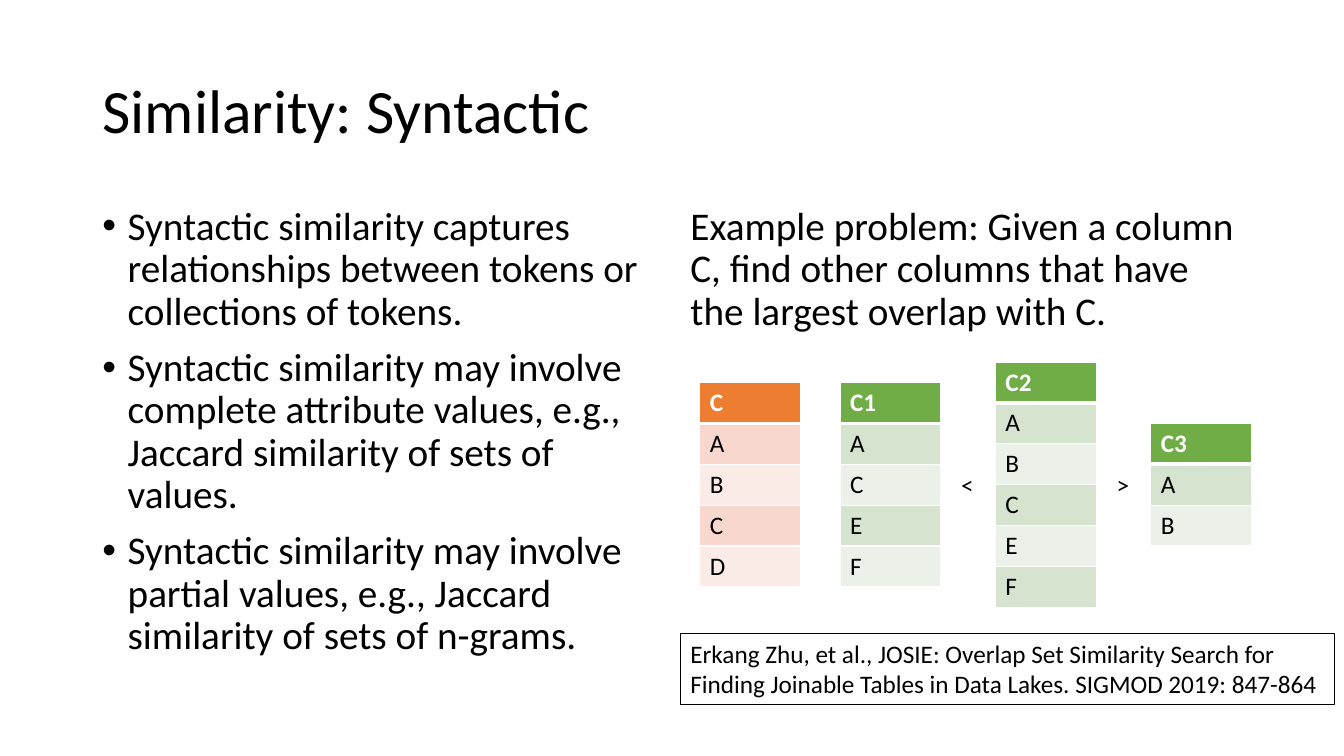
"""Build the slide on syntactic similarity."""
from dataclasses import dataclass

from lxml import etree
from pptx import Presentation
from pptx import util as u
from pptx.dml.color import RGBColor
from pptx.enum import text
from pptx.oxml.ns import qn

WIDTH, HEIGHT = u.Inches(13.33), u.Inches(7.5)
COLUMNS, ROWS = 160, 90
TABLE_WIDTH, TABLE_STEP, TABLE_MIDDLE = 12, 18.5, 57.7
SIGN_WIDTH, SIGN_HEIGHT = 4, 4.8


@dataclass(frozen=True)
class Theme:
    """Colours and type sizes of the slide."""
    font: str = "Calibri"
    title: float = 44
    body: float = 28
    small: float = 18
    row: float = 29.2
    ink: str = "000000"
    paper: str = "FFFFFF"
    query: tuple = ("ED7D31", "F8D7CE", "FCECE8")
    candidate: tuple = ("70AD47", "D5E3CF", "EBF1E9")


THEME = Theme()


def across(columns):
    """Turn grid columns into a length."""
    return u.Emu(round(WIDTH * columns / COLUMNS))


def down(rows):
    """Turn grid rows into a length."""
    return u.Emu(round(HEIGHT * rows / ROWS))


def area(left, top, width, height):
    """Turn a grid area into left, top, width and height."""
    return across(left), down(top), across(width), down(height)


def add_span(para, words, size, color=THEME.ink, bold=False):
    """Add one formatted run to a paragraph."""
    span = para.add_run()
    span.text = words
    span.font.name = THEME.font
    span.font.size = u.Pt(size)
    span.font.bold = bold
    span.font.color.rgb = RGBColor.from_string(color)


def add_paragraphs(frame, lines):
    """Yield a paragraph of the frame with each line."""
    for index, line in enumerate(lines):
        para = frame.add_paragraph() if index else frame.paragraphs[0]
        para.alignment = text.PP_ALIGN.LEFT
        yield para, line


def set_bullet(para, bulleted):
    """Set the hanging indent and bullet of a paragraph."""
    props = para._p.get_or_add_pPr()
    indent = u.Inches(0.25) if bulleted else 0
    props.set("marL", str(indent))
    props.set("indent", str(-indent))
    if bulleted:
        etree.SubElement(props, qn("a:buFont"), typeface="Arial")
        etree.SubElement(props, qn("a:buChar"), char="•")
    else:
        etree.SubElement(props, qn("a:buNone"))


def fill_placeholder(box, place, lines, size, anchor, bulleted=False):
    """Move a placeholder and write its paragraphs."""
    box.left, box.top, box.width, box.height = place
    frame = box.text_frame
    frame.word_wrap = True
    frame.auto_size = text.MSO_AUTO_SIZE.NONE
    frame.vertical_anchor = anchor
    for index, (para, line) in enumerate(add_paragraphs(frame, lines)):
        set_bullet(para, bulleted)
        para.line_spacing = 0.9
        para.space_before = u.Pt(10 if index else 0)
        add_span(para, line, size)


def add_label(page, place, lines, outlined=False):
    """Add a text box that fits its lines, with an optional outline."""
    box = page.shapes.add_textbox(*place)
    frame = box.text_frame
    frame.word_wrap = False
    frame.auto_size = text.MSO_AUTO_SIZE.SHAPE_TO_FIT_TEXT
    for para, line in add_paragraphs(frame, lines):
        add_span(para, line, THEME.small)
    if outlined:
        box.line.color.rgb = RGBColor.from_string(THEME.ink)
        box.line.width = u.Pt(1)


def set_borders(cell, bottom):
    """Draw the borders of a cell, with its own bottom width."""
    props = cell._tc.get_or_add_tcPr()
    widths = {"a:lnL": 1, "a:lnR": 1, "a:lnT": 1, "a:lnB": bottom}
    for index, (tag, width) in enumerate(widths.items()):
        line = etree.Element(qn(tag), w=str(u.Pt(width)))
        solid = etree.SubElement(line, qn("a:solidFill"))
        etree.SubElement(solid, qn("a:srgbClr"), val=THEME.paper)
        props.insert(index, line)


def add_column_table(page, left, values, colors):
    """Add a one-column table centred on the table row."""
    height = u.Pt(THEME.row * len(values))
    top = down(TABLE_MIDDLE) - height // 2
    table = page.shapes.add_table(
        len(values), 1, across(left), top, across(TABLE_WIDTH), height).table
    header, *bands = colors
    for index, value in enumerate(values):
        is_header = index == 0
        table.rows[index].height = u.Pt(THEME.row)
        cell = table.cell(index, 0)
        cell.fill.solid()
        cell.fill.fore_color.rgb = RGBColor.from_string(
            header if is_header else bands[(index - 1) % 2])
        set_borders(cell, 3 if is_header else 1)
        color = THEME.paper if is_header else THEME.ink
        add_span(cell.text_frame.paragraphs[0], value, THEME.small, color, is_header)


def add_candidates(page, left):
    """Add the candidate columns with a comparison sign in each gap."""
    candidates = (("C1", *"ACEF"), ("C2", *"ABCEF"), ("C3", *"AB"))
    for index, values in enumerate(candidates):
        add_column_table(page, left + index * TABLE_STEP, values, THEME.candidate)
    gap = TABLE_STEP - TABLE_WIDTH
    first = left + TABLE_WIDTH + (gap - SIGN_WIDTH) / 2
    for index, sign in enumerate("<>"):
        place = area(first + index * TABLE_STEP, TABLE_MIDDLE - SIGN_HEIGHT / 2,
                     SIGN_WIDTH, SIGN_HEIGHT)
        add_label(page, place, [sign])


def main():
    """Build and save the deck."""
    deck = Presentation()
    deck.slide_width, deck.slide_height = WIDTH, HEIGHT
    page = deck.slides.add_slide(deck.slide_layouts.get_by_name("Two Content"))
    title, points, example = page.placeholders
    fill_placeholder(title, area(11, 4.8, 138, 17.4), ["Similarity: Syntactic"],
                     THEME.title, text.MSO_ANCHOR.MIDDLE)
    fill_placeholder(points, area(11, 24, 68, 57.1), [
        "Syntactic similarity captures relationships between tokens or "
        "collections of tokens.",
        "Syntactic similarity may involve complete attribute values, e.g., "
        "Jaccard similarity of sets of values.",
        "Syntactic similarity may involve partial values, e.g., Jaccard "
        "similarity of sets of n-grams.",
    ], THEME.body, text.MSO_ANCHOR.TOP, bulleted=True)
    fill_placeholder(example, area(81, 24, 68, 17.4), [
        "Example problem: Given a column C, find other columns that have "
        "the largest overlap with C.",
    ], THEME.body, text.MSO_ANCHOR.TOP)
    add_column_table(page, 83.3, ("C", *"ABCD"), THEME.query)
    add_candidates(page, 100)
    add_label(page, area(81, 75.4, 77.9, 8.5), [
        "Erkang Zhu, et al., JOSIE: Overlap Set Similarity Search for",
        "Finding Joinable Tables in Data Lakes. SIGMOD 2019: 847-864",
    ], outlined=True)
    deck.save("out.pptx")


if __name__ == "__main__":
    main()
